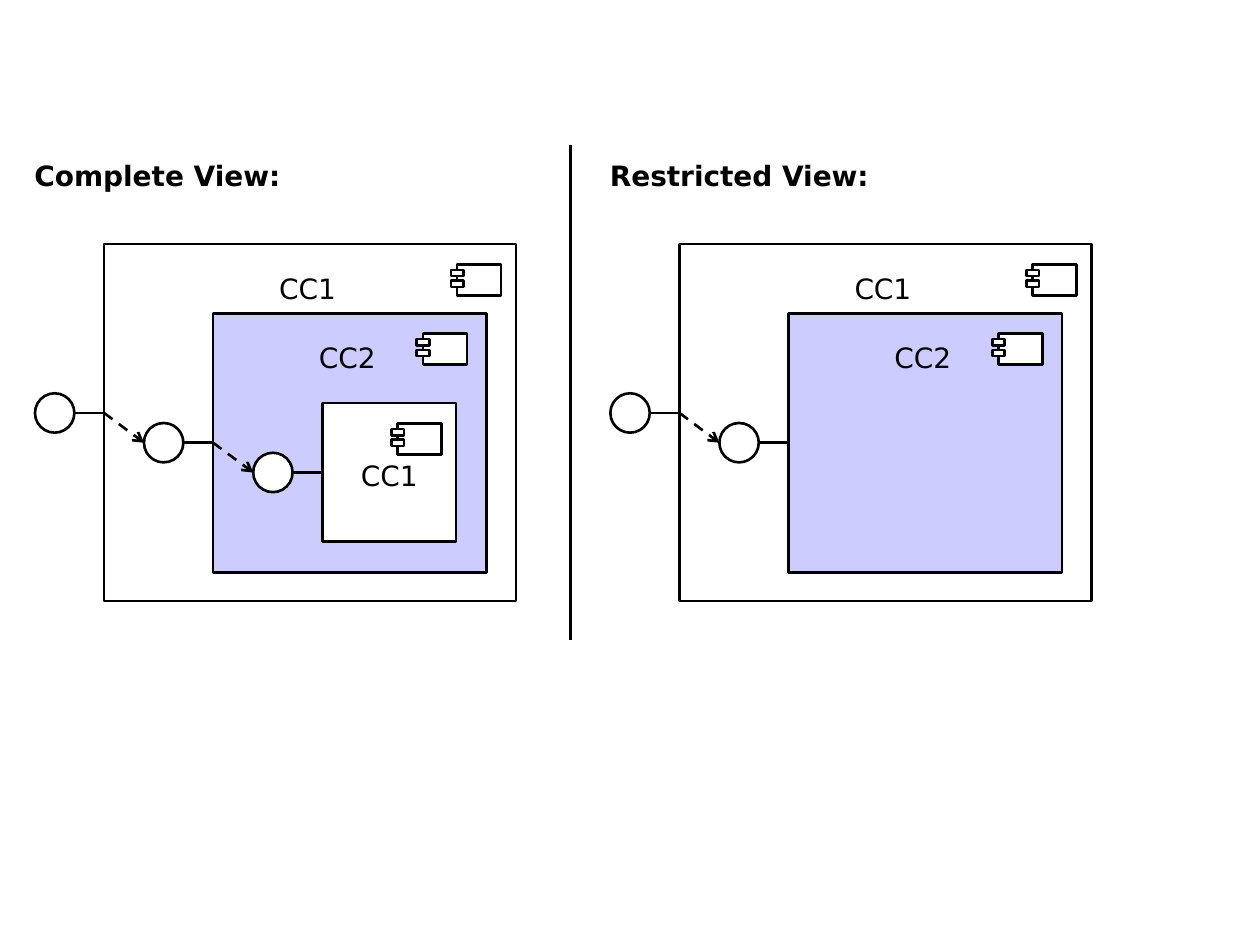
import pptx
import pptx.dml.color
import pptx.enum.dml
import pptx.enum.shapes
import pptx.enum.text
import pptx.oxml.ns
import pptx.util
from lxml import etree

Pt = pptx.util.Pt
SHAPE = pptx.enum.shapes.MSO_SHAPE
ALIGN = pptx.enum.text.PP_ALIGN
BLACK, WHITE, LILAC = "000000", "FFFFFF", "CCCCFF"
FONT = "DejaVu Sans"
COMPARISON_LAYOUT = 4
VIEW_OFFSET = 328.8
DIAMETER, STEM = 22.5, 17


def color(value):
    return pptx.dml.color.RGBColor.from_string(value)


def add_box(shapes, kind, left, top, width, height, fill=None):
    box = shapes.add_shape(kind, Pt(left), Pt(top), Pt(width), Pt(height))
    box.shadow.inherit = False
    if fill:
        box.fill.solid()
        box.fill.fore_color.rgb = color(fill)
    else:
        box.fill.background()
    box.line.color.rgb = color(BLACK)
    box.line.width = Pt(1.5)
    return box


def write_text(box, text, align, margins, bold=False):
    frame = box.text_frame
    frame.text = text
    frame.word_wrap = True
    frame.vertical_anchor = pptx.enum.text.MSO_ANCHOR.MIDDLE
    frame.margin_left = frame.margin_right = Pt(margins[0])
    frame.margin_top = frame.margin_bottom = Pt(margins[1])
    para = frame.paragraphs[0]
    para.alignment = align
    para.space_before = Pt(0)
    font = para.runs[0].font
    font.name, font.size, font.bold = FONT, Pt(16), bold
    font.color.rgb = color(BLACK)


def add_label(slide, text, left, top, width):
    box = slide.shapes.add_textbox(Pt(left), Pt(top), Pt(width), Pt(26.6))
    write_text(box, text, ALIGN.CENTER, (4.5, 3.6))


def fill_heading(box, text, left):
    box.left, box.top, box.width, box.height = Pt(left), Pt(88.6), Pt(159), Pt(23)
    write_text(box, text, ALIGN.LEFT, (0, 0), bold=True)


def add_line(slide, start, end, arrow=False):
    line = slide.shapes.add_connector(
        pptx.enum.shapes.MSO_CONNECTOR.STRAIGHT, *[Pt(v) for v in (*start, *end)])
    line.line.color.rgb = color(BLACK)
    line.line.width = Pt(1.5)
    if arrow:
        line.line.dash_style = pptx.enum.dml.MSO_LINE.DASH
        etree.SubElement(line.line._get_or_add_ln(),
                         pptx.oxml.ns.qn("a:tailEnd"), type="arrow")
    etree.SubElement(line._element.spPr, pptx.oxml.ns.qn("a:effectLst"))
    return line


def add_component_icon(slide, left, top):
    group = slide.shapes.add_group_shape()
    add_box(group.shapes, SHAPE.RECTANGLE, left, top, 25.2, 18, WHITE)
    for drop in (3.2, 9.4):
        add_box(group.shapes, SHAPE.RECTANGLE, left - 3.5, top + drop, 7.2, 3.6, WHITE)


def add_component(slide, name, left, top, width, height, fill, icon_inset, label_drop):
    box = add_box(slide.shapes, SHAPE.RECTANGLE, left, top, width, height, fill)
    add_label(slide, name, left, top + label_drop, width - (3 if width > 100 else 0))
    add_component_icon(slide, left + width - icon_inset - 25.2, top + 11.5)
    return box


def add_interface(slide, edge, middle, fill=None, box=None):
    """Circle and stem left of an edge; returns the circle's left point."""
    left = edge - STEM - DIAMETER
    stem = add_line(slide, (edge - STEM, middle), (edge, middle))
    if box is not None:
        stem.end_connect(box, 1)
    add_box(slide.shapes, SHAPE.OVAL, left, middle - DIAMETER / 2,
            DIAMETER, DIAMETER, fill)
    return left, middle


def add_view(slide, offset, complete):
    # Outer and middle components
    outer_left, middle_left = offset + 59.5, offset + 121.8
    add_component(slide, "CC1", outer_left, 139.5, 235.5, 204, None, 8.6, 11.7)
    middle = add_component(slide, "CC2", middle_left, 179, 156.4, 148, LILAC, 11.3, 11.7)

    # Interfaces and delegation
    add_interface(slide, outer_left, 236)
    port = add_interface(slide, middle_left, 253, box=middle)
    add_line(slide, (outer_left, 236), port, arrow=True)

    # Nested component, only in the complete view
    if complete:
        inner_left = offset + 184.2
        inner = add_component(slide, "CC1", inner_left, 230.4, 76.5, 79.2, WHITE, 8.3, 28.2)
        port = add_interface(slide, inner_left, 270, WHITE, inner)
        arrow = add_line(slide, (middle_left, 253), port, arrow=True)
        arrow.begin_connect(middle, 1)


def main():
    deck = pptx.Presentation()
    deck.slide_width, deck.slide_height = Pt(720), Pt(540)
    page = deck.slides.add_slide(deck.slide_layouts[COMPARISON_LAYOUT])

    # Headings sit in the two text placeholders of the comparison layout
    headings = {1: ("Complete View:", 19.7),
                3: ("Restricted View:", 19.7 + VIEW_OFFSET)}
    for holder in list(page.placeholders):
        heading = headings.get(holder.placeholder_format.idx)
        if heading:
            fill_heading(holder, *heading)
        else:
            holder._element.getparent().remove(holder._element)

    # Two views and the divider between them
    add_view(page, 0, complete=True)
    add_view(page, VIEW_OFFSET, complete=False)
    add_line(page, (326, 83), (326, 366))

    deck.save("out.pptx")


if __name__ == "__main__":
    main()
